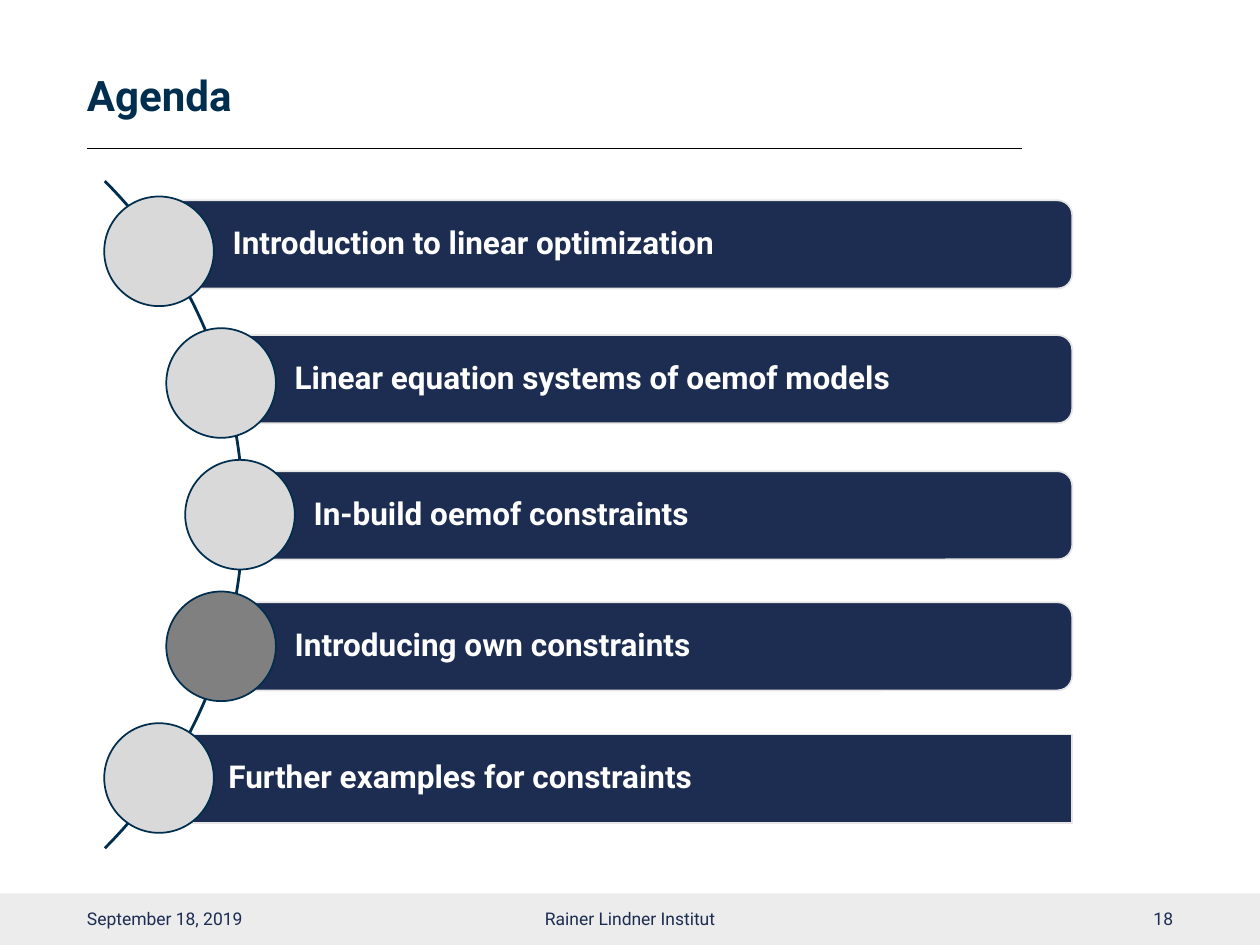
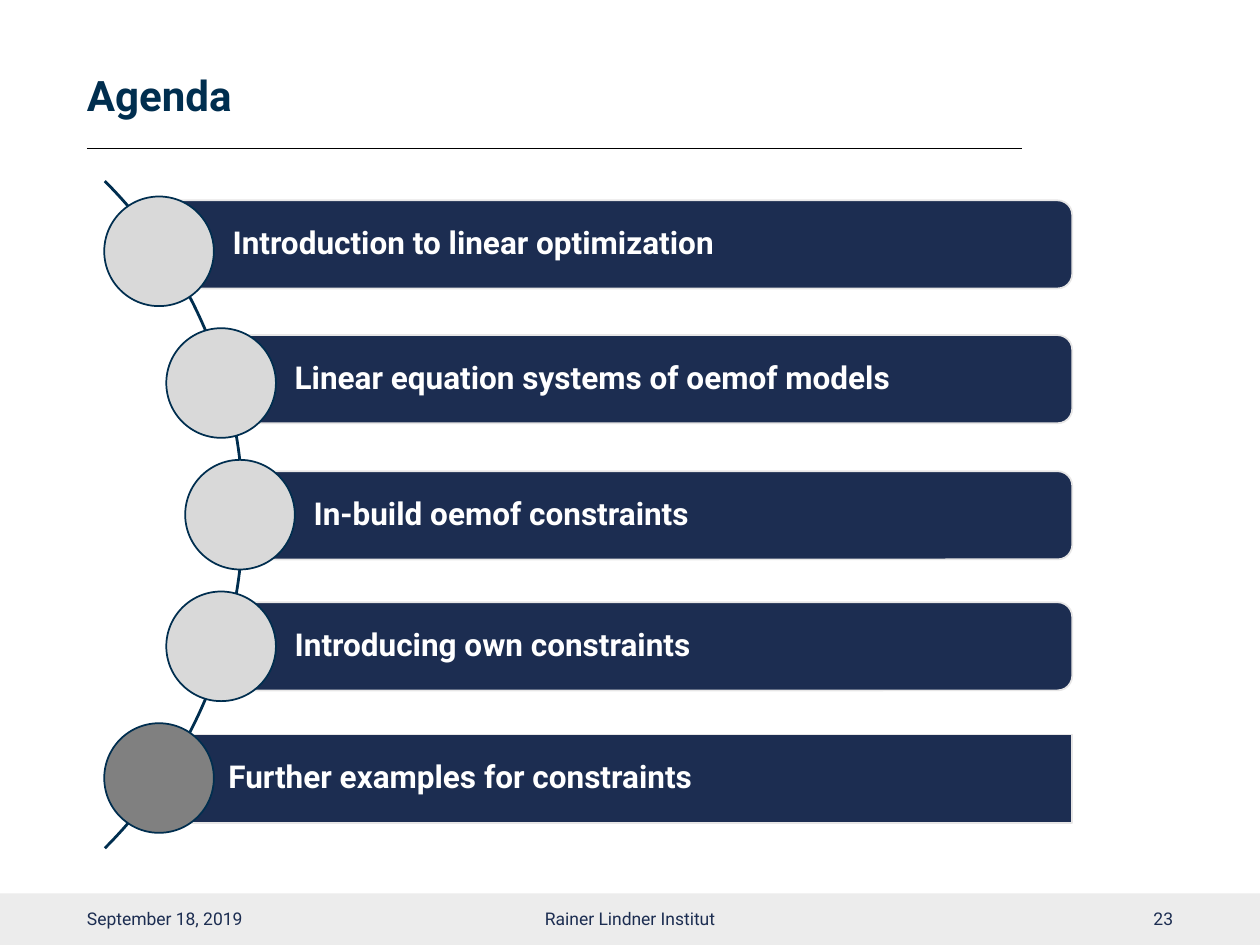
from math import sqrt
from pptx import Presentation
from pptx.dml.color import RGBColor
from pptx.enum.shapes import MSO_CONNECTOR as LINE, MSO_SHAPE as SHAPE
from pptx.enum.text import MSO_ANCHOR as ANCHOR, PP_ALIGN as ALIGN
from pptx.oxml.ns import qn
from pptx.util import Inches, Pt
from lxml.etree import SubElement

NAVY = RGBColor(0x1C, 0x2D, 0x51)
TEAL = RGBColor(0x00, 0x2E, 0x4F)
BLACK = RGBColor(0, 0, 0)
WHITE = RGBColor(255, 255, 255)
BAND = RGBColor(0xEC, 0xEC, 0xEC)
EDGE = RGBColor(0xE7, 0xE6, 0xE6)
IDLE = RGBColor(0xD9, 0xD9, 0xD9)
ACTIVE = RGBColor(0x80, 0x80, 0x80)

TITLE = dict(size=Pt(24), bold=True, color=TEAL)
FOOT = dict(size=Pt(10), bold=False, color=NAVY)
LABEL = dict(size=Pt(18), bold=True, color=WHITE)

TOPICS = [  # label, bar top within the agenda box, bar shape
    ("Introduction to linear optimization", 0.03, SHAPE.ROUNDED_RECTANGLE),
    ("Linear equation systems of oemof models", 1.1, SHAPE.ROUNDED_RECTANGLE),
    ("In-build oemof constraints", 2.18, SHAPE.ROUNDED_RECTANGLE),
    ("Introducing own constraints", 3.22, SHAPE.ROUNDED_RECTANGLE),
    ("Further examples for constraints", 4.27, SHAPE.RECTANGLE),
]
AGENDA = (0.82, 1.56, 7.69, 5.05)
HEAD = (0.69, 0.4, 8.64, 0.76)
FOOTER = (0, 7.09, 10, 0.41)


def add_form(slide, kind, box, fill, line=None):
    form = slide.shapes.add_shape(kind, *map(Inches, box))
    form.shadow.inherit = False
    form.fill.solid()
    form.fill.fore_color.rgb = fill
    if line is None:
        form.line.fill.background()
    else:
        form.line.color.rgb = line
        form.line.width = Pt(1)
    return form


def write(form, text, style, align=ALIGN.LEFT, left=0.0, right=0.1, space=1.0):
    frame = form.text_frame
    frame.word_wrap = True
    frame.vertical_anchor = ANCHOR.MIDDLE
    frame.margin_left, frame.margin_right = Inches(left), Inches(right)
    para = frame.paragraphs[0]
    para.alignment, para.line_spacing = align, space
    run = para.add_run()
    run.text = text
    run.font.name = "Roboto"
    for key, value in style.items():
        if key == "color":
            run.font.color.rgb = value
        else:
            setattr(run.font, key, value)


def add_text(slide, box, *args, **kwargs):
    write(slide.shapes.add_textbox(*map(Inches, box)), *args, **kwargs)


def add_head(slide, box, text):
    """Title with the rule below it."""
    left, top, width, height = box
    y = Inches(top + height + 0.02)
    rule = slide.shapes.add_connector(LINE.STRAIGHT, Inches(left), y, Inches(left + 7.42), y)
    rule.line.color.rgb = BLACK
    rule.line.width = Pt(0.5)
    SubElement(rule.element.spPr, qn("a:effectLst"))
    add_text(slide, box, text, TITLE, space=0.9)


def add_footer(slide, box, number):
    left, top, width, height = box
    add_form(slide, SHAPE.RECTANGLE, box, BAND)
    for x, wide, text, align, pad in (
        (0.69, 2.25, "September 18, 2019", ALIGN.LEFT, 0),
        (3.31, 3.38, "Rainer Lindner Institut", ALIGN.CENTER, 0.1),
        (7.06, 2.25, str(number), ALIGN.RIGHT, 0),
    ):
        add_text(slide, (left + x, top, wide, 0.4), text, FOOT, align, pad, pad)


def add_agenda(slide, box, active):
    """Bars that start at circles strung along an arc; one circle is active."""
    left, top, width, height = box
    size, radius, track = 0.87, 3.755, 3.72
    mid_x, mid_y = left - 2.635, top + height / 2
    arc = add_form(slide, SHAPE.BLOCK_ARC,
                   (mid_x - radius, mid_y - radius, 2 * radius, 2 * radius), TEAL)
    for i, value in enumerate((189, 27, 0.003)):  # from 315 to 45 degrees, thin
        arc.adjustments[i] = value
    step = (height - size) / (len(TOPICS) - 1)
    for i, (text, drop, kind) in enumerate(TOPICS):
        y = top + size / 2 + i * step
        x = mid_x + sqrt(track ** 2 - (y - mid_y) ** 2)
        bar = add_form(slide, kind, (x, top + drop, left + width - x, 0.7), NAVY, EDGE)
        write(bar, text, LABEL, left=0.55, right=0.05, space=0.9)
        add_form(slide, SHAPE.OVAL, (x - size / 2, y - size / 2, size, size),
                 ACTIVE if i == active else IDLE, TEAL)


def main():
    deck = Presentation()
    deck.slide_width, deck.slide_height = Inches(10), Inches(7.5)
    for number, active in ((18, 3), (23, 4)):
        slide = deck.slides.add_slide(deck.slide_layouts[6])
        add_footer(slide, FOOTER, number)
        add_head(slide, HEAD, "Agenda")
        add_agenda(slide, AGENDA, active)
    deck.save("out.pptx")


if __name__ == "__main__":
    main()
